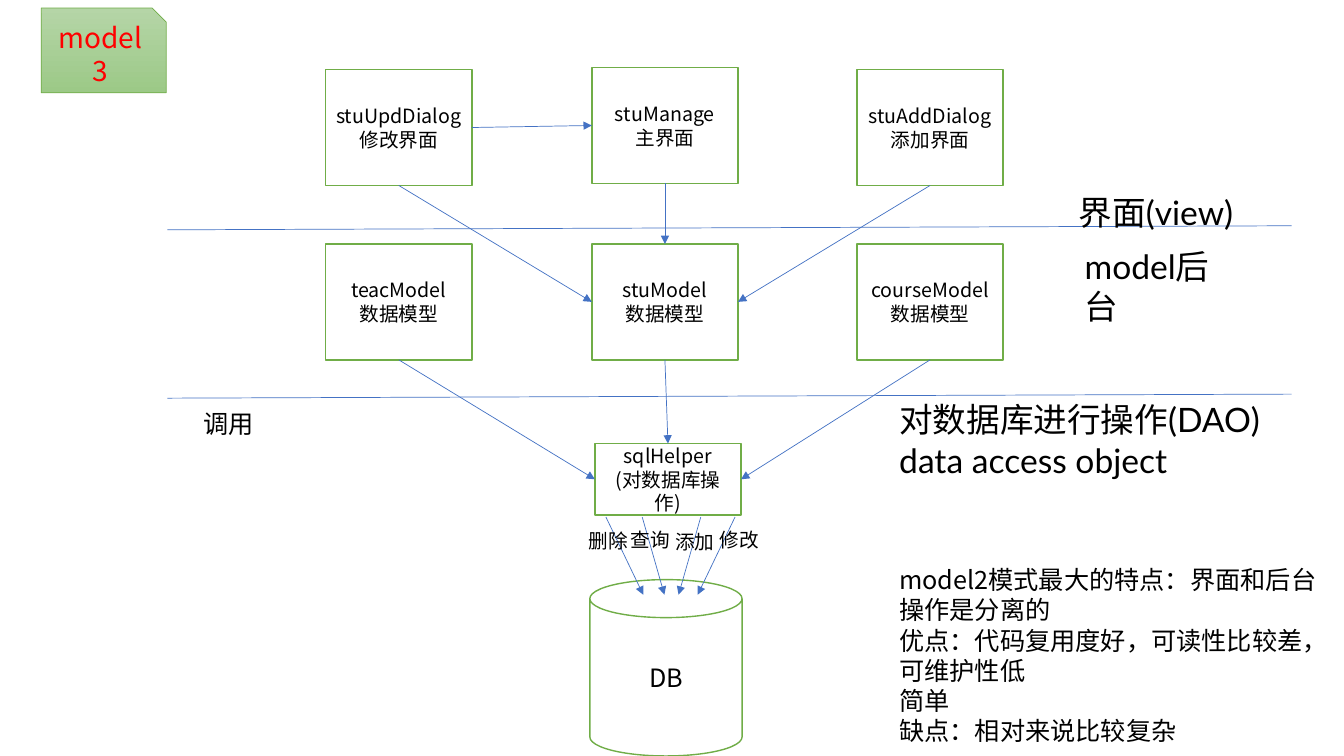
from dataclasses import dataclass
from typing import NamedTuple

from lxml import etree
from pptx import Presentation
from pptx import util as u
from pptx.dml.color import RGBColor
from pptx.enum import shapes, text
from pptx.oxml import ns


@dataclass(frozen=True)
class Theme:
    ink: RGBColor = RGBColor(0, 0, 0)
    paper: RGBColor = RGBColor(255, 255, 255)
    accent: RGBColor = RGBColor(255, 0, 0)
    border: RGBColor = RGBColor(0x70, 0xAD, 0x47)
    arrow: RGBColor = RGBColor(0x44, 0x72, 0xC4)
    badge_top: RGBColor = RGBColor(0xB5, 0xD5, 0xA7)
    badge_bottom: RGBColor = RGBColor(0x9C, 0xC9, 0x87)
    cjk: str = "Noto Sans CJK SC"
    latin: str = "Lato"
    small: int = 14
    body: int = 18
    title: int = 20
    layer: int = 24


T = Theme()
Point = tuple[float, float]


class Node(NamedTuple):
    x: float
    y: float
    w: float
    h: float
    words: str
    size: int = T.small
    kind: shapes.MSO_SHAPE = shapes.MSO_SHAPE.RECTANGLE
    color: RGBColor = T.ink

    @property
    def top(self) -> Point:
        return self.x + self.w / 2, self.y

    @property
    def bottom(self) -> Point:
        return self.x + self.w / 2, self.y + self.h

    @property
    def left(self) -> Point:
        return self.x, self.y + self.h / 2

    @property
    def right(self) -> Point:
        return self.x + self.w, self.y + self.h / 2


class Label(NamedTuple):
    x: float
    y: float
    w: float
    h: float
    words: str
    size: int
    font: str = T.cjk


prs = Presentation()
prs.slide_width, prs.slide_height = u.Inches(13.33), u.Inches(7.5)
s = prs.slides.add_slide(prs.slide_layouts[6])


def write(tf, words: str, size: int, font: str, color: RGBColor, align) -> None:
    tf.word_wrap = True
    tf.text = words
    for p in tf.paragraphs:
        p.alignment = align
        for r in p.runs:
            r.font.size = u.Pt(size)
            r.font.name = font
            r.font.color.rgb = color
            ea = etree.SubElement(r.font._element, ns.qn("a:ea"))
            ea.set("typeface", font)


def draw_node(n: Node):
    sp = s.shapes.add_shape(n.kind, *map(u.Inches, n[:4]))
    sp.shadow.inherit = False
    sp.fill.solid()
    sp.fill.fore_color.rgb = T.paper
    sp.line.color.rgb = T.border
    sp.line.width = u.Pt(1)
    sp.text_frame.vertical_anchor = text.MSO_ANCHOR.MIDDLE
    write(sp.text_frame, n.words, n.size, T.cjk, n.color, text.PP_ALIGN.CENTER)
    return sp


def draw_label(b: Label) -> None:
    sp = s.shapes.add_textbox(*map(u.Inches, b[:4]))
    write(sp.text_frame, b.words, b.size, b.font, T.ink, text.PP_ALIGN.LEFT)


def draw_line(start: Point, end: Point, head: bool = True) -> None:
    c = s.shapes.add_connector(shapes.MSO_CONNECTOR.STRAIGHT,
                               *map(u.Inches, (*start, *end)))
    c.line.color.rgb = T.arrow
    c.line.width = u.Pt(0.5)
    if head:
        etree.SubElement(c.line._get_or_add_ln(), ns.qn("a:tailEnd")).set("type", "triangle")
    etree.SubElement(c._element.spPr, ns.qn("a:effectLst"))


# Classes of the view and model layers, in three columns
BOX_W, BOX_H, MODEL_Y = 1.45, 1.15, 2.42
COLS = [3.23, 5.87, 8.5]
VIEWS = [(0.69, "stuUpdDialog\n修改界面"), (0.67, "stuManage\n主界面"),
         (0.69, "stuAddDialog\n添加界面")]
views = [Node(x, y, BOX_W, BOX_H, words) for x, (y, words) in zip(COLS, VIEWS)]
models = [Node(x, MODEL_Y, BOX_W, BOX_H, f"{name}\n数据模型")
          for x, name in zip(COLS, ["teacModel", "stuModel", "courseModel"])]

# Database access
helper = Node(5.9, 4.4, BOX_W, 0.71, "sqlHelper\n(对数据库操作)")
db = Node(5.85, 5.75, 1.51, 1.75, "DB", T.body, shapes.MSO_SHAPE.CAN)
for node in [*views, *models, helper, db]:
    draw_node(node)

# Calls between layers: each upper row converges on one class below
draw_line(views[0].right, views[1].left)
for row, target in ((views, models[1]), (models, helper)):
    for node, end in zip(row, (target.left, target.top, target.right)):
        draw_line(node.bottom, end)

# Database operations
for x_from, x_to in [(6.01, 6.38), (6.37, 6.59), (6.95, 6.73), (7.29, 6.92)]:
    draw_line((x_from, 5.13), (x_to, 5.9))

# Layer dividers
for y in (2.28, 3.95):
    draw_line((1.66, y), (12.81, y - 0.04), head=False)

# Captions
LABELS = [
    Label(1.92, 4, 0.84, 0.4, "调用", T.body),
    Label(5.74, 5.2, 0.8, 0.34, "删除", T.small),
    Label(6.16, 5.19, 0.71, 0.34, "查询", T.small),
    Label(6.6, 5.21, 0.86, 0.34, "添加", T.small),
    Label(7.04, 5.19, 0.6, 0.34, "修改", T.small),
    Label(10.6, 1.85, 1.82, 0.5, "界面(view)", T.layer, T.latin),
    Label(10.66, 2.39, 1.69, 0.5, "model后台", T.layer, T.latin),
    Label(8.82, 3.91, 4.2, 0.91, "对数据库进行操作(DAO)\ndata access object",
          T.layer, T.latin),
    Label(8.82, 5.55, 4.56, 1.92,
          "model2模式最大的特点：界面和后台操作是分离的\n"
          "优点：代码复用度好，可读性比较差，可维护性低\n"
          "简单\n缺点：相对来说比较复杂", T.body),
]
for label in LABELS:
    draw_label(label)

# Title badge
badge = draw_node(Node(0.41, 0.08, 1.24, 0.84, "model3", T.title,
                       shapes.MSO_SHAPE.SNIP_1_RECTANGLE, T.accent))
badge.line.width = u.Pt(0.5)
badge.fill.gradient()
badge.fill.gradient_angle = 270
for stop, color in zip(badge.fill.gradient_stops, (T.badge_top, T.badge_bottom)):
    stop.color.rgb = color

prs.save("out.pptx")
